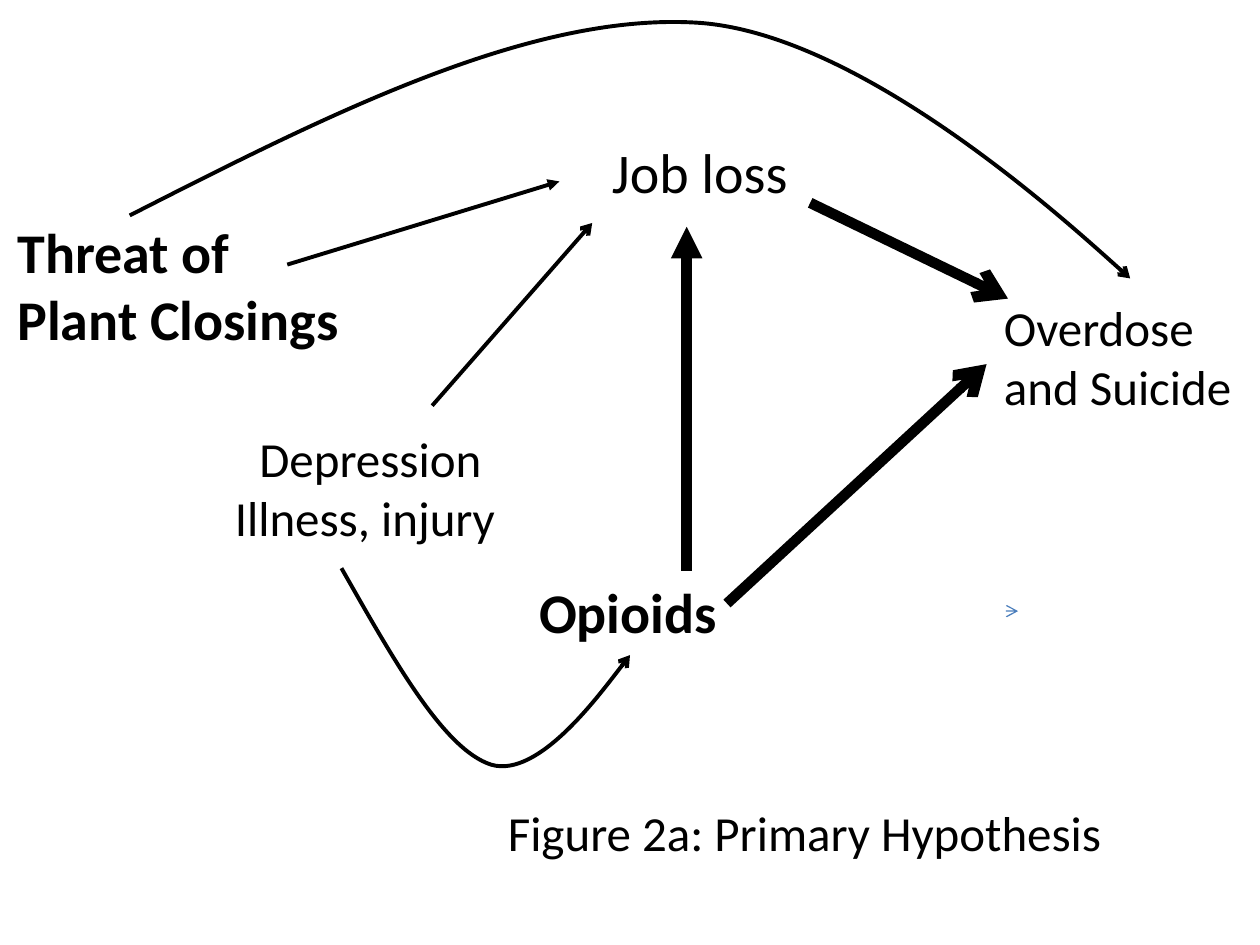
from lxml import etree
from pptx import Presentation
from pptx.dml.color import RGBColor
from pptx.enum.shapes import MSO_CONNECTOR
from pptx.enum.text import MSO_ANCHOR, PP_ALIGN
from pptx.oxml.ns import qn
from pptx.util import Inches, Pt

STRAIGHT = MSO_CONNECTOR.STRAIGHT
MIDDLE = MSO_ANCHOR.MIDDLE
LEFT, CENTER = PP_ALIGN.LEFT, PP_ALIGN.CENTER
COLORS = {"ink": "000000", "blue": "4B7EBC"}
FONT = "Calibri"
THIN, THICK = 2.25, 6


class Diagram:
    """Holds the style and the current slide."""

    def __init__(self, slide):
        self.slide = slide

    def label(self, lines, x, y, w, h, size=28, bold=False, align=LEFT,
              wrap=True, indent=0.1):
        s = self.slide.shapes.add_textbox(Inches(x), Inches(y), Inches(w), Inches(h))
        tf = s.text_frame
        tf.word_wrap = wrap
        tf.vertical_anchor = MIDDLE
        tf.margin_left = Inches(indent)
        tf.text = "\n".join(lines)
        for p in tf.paragraphs:
            p.alignment = align
            p.font.name = FONT
            p.font.size = Pt(size)
            p.font.bold = bold
            p.font.color.rgb = RGBColor.from_string(COLORS["ink"])

    def style_line(self, s, width, head, color="ink"):
        s.line.color.rgb = RGBColor.from_string(COLORS[color])
        s.line.width = Pt(width)
        etree.SubElement(s.line._get_or_add_ln(), qn("a:tailEnd"), type=head)

    def arrow(self, start, end, width=THIN, head="arrow", color="ink"):
        s = self.slide.shapes.add_connector(
            STRAIGHT, *(Inches(v) for v in (*start, *end)))
        self.style_line(s, width, head, color)
        etree.SubElement(s._element.spPr, qn("a:effectLst"))

    def curved_arrow(self, start, *points):
        """Draw cubic curves; every three points are two controls and an end."""
        fb = self.slide.shapes.build_freeform(Inches(start[0]), Inches(start[1]))
        fb.add_line_segments([(Inches(x), Inches(y)) for x, y in points], close=False)
        s = fb.convert_to_shape()
        s.fill.background()
        s.shadow.inherit = False
        self.style_line(s, THIN, "arrow")
        # Turn each group of three line segments into one cubic curve
        path = next(s._element.iter(qn("a:path")))
        segments = path.findall(qn("a:lnTo"))
        for i in range(0, len(segments), 3):
            curve = etree.SubElement(path, qn("a:cubicBezTo"))
            for segment in segments[i:i + 3]:
                curve.append(segment[0])
                path.remove(segment)


def main():
    prs = Presentation()
    prs.slide_width, prs.slide_height = Inches(10), Inches(7.5)
    d = Diagram(prs.slides.add_slide(prs.slide_layouts[6]))

    # Factors and outcomes
    d.label(["Job loss"], 4.75, 1.04, 1.61, 0.64, size=32, align=CENTER, wrap=False)
    d.label(["Overdose and Suicide"], 7.87, 2.31, 2.13, 1.04)
    d.label(["Depression", "Illness, injury "], 1.44, 3.35, 3, 1.04, align=CENTER)
    d.label(["Opioids"], 4.18, 4.53, 1.73, 0.64, size=32, bold=True, wrap=False)
    d.label(["Threat of Plant Closings"], 0.04, 1.67, 2.76, 1.18, size=32, bold=True)

    # Caption
    d.label(["Figure 2a: Primary Hypothesis"], 3.53, 6.28, 6.22, 0.64, indent=0.5)

    # Primary paths
    d.arrow((5.77, 4.79), (7.83, 2.89), THICK)
    d.arrow((6.43, 1.61), (8, 2.37), THICK)
    d.arrow((5.45, 4.53), (5.45, 1.8), THICK, "triangle")

    # Secondary paths
    d.arrow((3.43, 3.22), (4.7, 1.77))
    d.arrow((2.28, 2.1), (4.44, 1.44), head="triangle")
    d.arrow((8.02, 4.85), (8.08, 4.85), 0.75, color="blue")

    # Depression to opioids, and threat to overdose
    d.curved_arrow((2.71, 4.51), (3.12, 5.23), (3.52, 5.95), (3.9, 6.07),
                   (4.28, 6.18), (5, 5.2), (5, 5.2))
    d.curved_arrow((1.03, 1.71), (2.62, 0.9), (4.21, 0.1), (5.53, 0.18),
                   (6.85, 0.26), (8.97, 2.21), (8.97, 2.21))

    prs.save("out.pptx")


if __name__ == "__main__":
    main()
